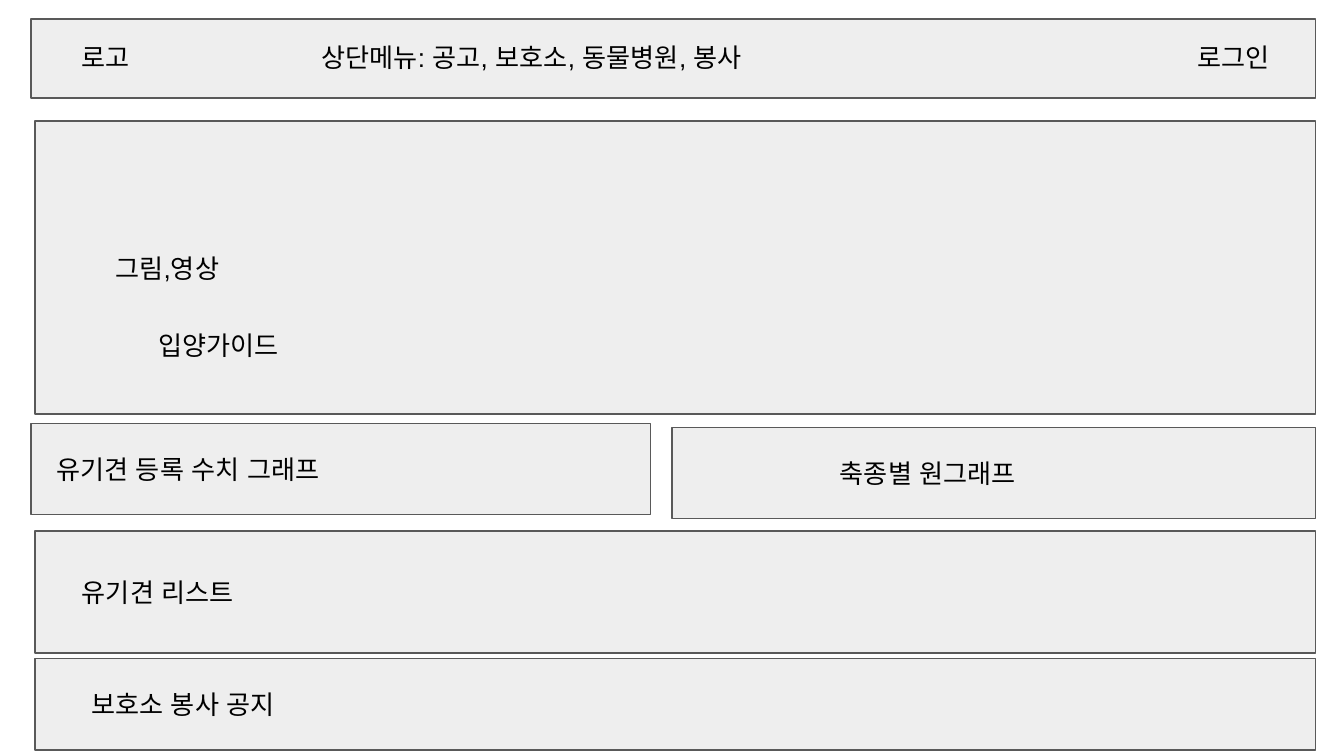
from dataclasses import dataclass

from lxml import etree
from pptx import Presentation
from pptx.dml.color import RGBColor
from pptx.enum import shapes, text
from pptx.oxml.ns import qn
from pptx.util import Inches, Pt

COLORS = {"panel": "EEEEEE", "border": "595959", "label": "000000"}
SLIDE_WIDTH = 10
RIGHT_EDGE = 9.79
LABEL_HEIGHT = 0.44


@dataclass
class Label:
    words: str
    left: float
    top: float
    width: float


@dataclass
class Panel:
    left: float
    top: float
    height: float
    labels: list[Label]
    right: float = RIGHT_EDGE


def write_text(frame, words: str, *, size: float = 14, font: str = "Arial",
               color: str = COLORS["label"]) -> None:
    frame.word_wrap = True
    frame.auto_size = text.MSO_AUTO_SIZE.SHAPE_TO_FIT_TEXT
    frame.margin_left = frame.margin_right = Inches(0.1)
    frame.margin_top = frame.margin_bottom = Inches(0.1)
    run = frame.paragraphs[0].add_run()
    run.text = words
    run.font.size = Pt(size)
    run.font.name = font
    run.font.color.rgb = RGBColor.from_string(color)
    # Hangul and the spaces between use the East Asian font slot
    for slot in ("a:ea", "a:cs"):
        etree.SubElement(run.font._element, qn(slot), typeface=font)


def draw_label(slide, label: Label) -> None:
    box = slide.shapes.add_textbox(Inches(label.left), Inches(label.top),
                                   Inches(label.width), Inches(LABEL_HEIGHT))
    write_text(box.text_frame, label.words)


def draw_panel(slide, panel: Panel) -> None:
    area = slide.shapes.add_shape(
        shapes.MSO_SHAPE.RECTANGLE, Inches(panel.left), Inches(panel.top),
        Inches(panel.right - panel.left), Inches(panel.height))
    area.shadow.inherit = False
    area.fill.solid()
    area.fill.fore_color.rgb = RGBColor.from_string(COLORS["panel"])
    area.line.color.rgb = RGBColor.from_string(COLORS["border"])
    area.line.width = Pt(0.75)
    for label in panel.labels:
        draw_label(slide, label)


# Page wireframe, from top to bottom
header = Panel(0.23, 0.14, 0.59, [
    Label("로고", 0.51, 0.21, 0.83),
    Label("상단메뉴: 공고, 보호소, 동물병원, 봉사", 2.29, 0.21, 5.91),
    Label("로그인", 8.81, 0.21, 0.83),
])
hero = Panel(0.26, 0.9, 2.18, [
    Label("그림,영상", 0.76, 1.78, 1.83),
    Label("입양가이드", 1.08, 2.35, 1.51),
])
registrations = Panel(0.23, 3.15, 0.68, [
    Label("유기견 등록 수치 그래프", 0.32, 3.27, 3.64),
], right=4.84)
species = Panel(5, 3.18, 0.68, [Label("축종별 원그래프", 6.15, 3.3, 3.64)])
dog_list = Panel(0.26, 3.95, 0.91, [Label("유기견 리스트", 0.51, 4.19, 7.26)])
notices = Panel(0.26, 4.9, 0.68, [Label("보호소 봉사 공지", 0.58, 5.02, 7.41)])


def main() -> None:
    deck = Presentation()
    # Widescreen, 16:9
    deck.slide_width = Inches(SLIDE_WIDTH)
    deck.slide_height = Inches(SLIDE_WIDTH * 9 / 16)
    slide = deck.slides.add_slide(deck.slide_layouts[6])
    for panel in (header, hero, registrations, species, dog_list, notices):
        draw_panel(slide, panel)
    deck.save("out.pptx")


if __name__ == "__main__":
    main()
